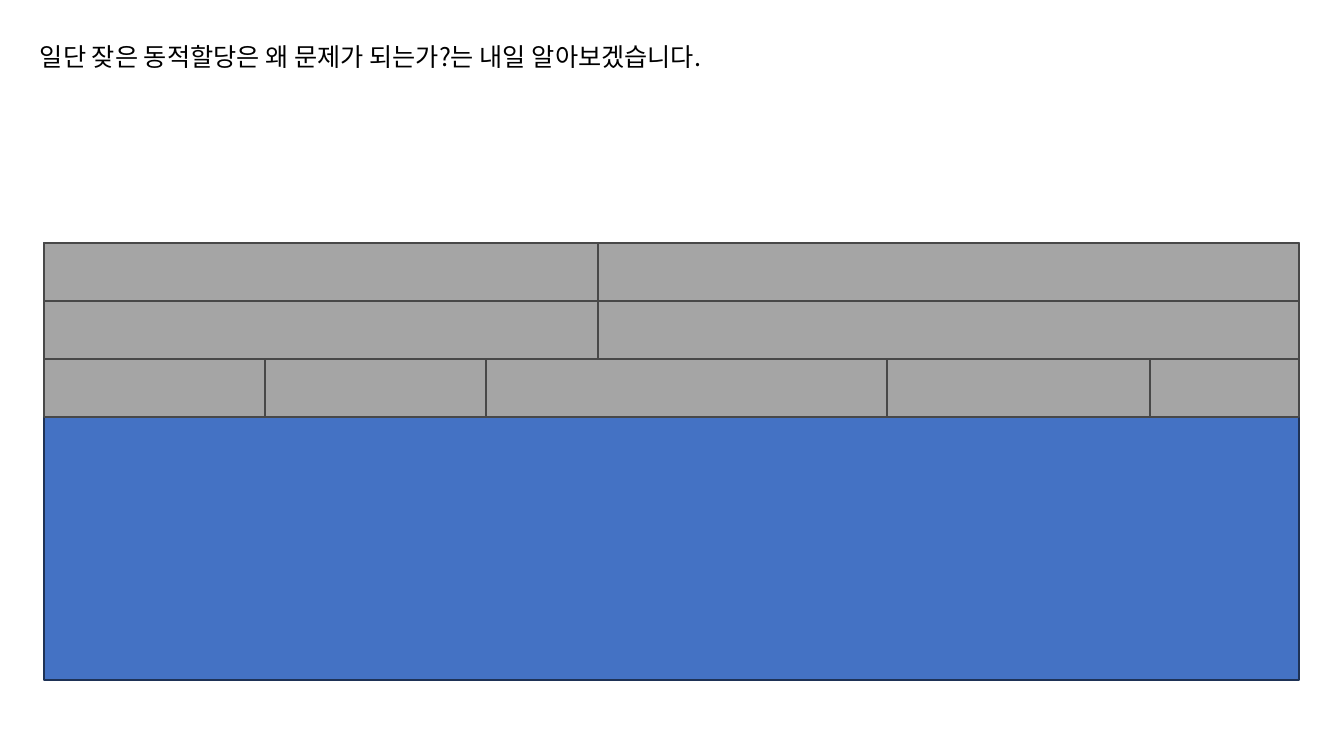
"""Build a slide showing a memory area filled by allocated blocks."""
import dataclasses
import itertools
import typing

import lxml.etree
import pptx
import pptx.dml.color
import pptx.enum.shapes
import pptx.oxml.ns
import pptx.util

SLIDE_WIDTH, SLIDE_HEIGHT = 1344, 756
EMU_PER_PIXEL = 12192000 / SLIDE_WIDTH
FONT = "Noto Sans CJK KR"
QUESTION = "일단 잦은 동적할당은 왜 문제가 되는가?는 내일 알아보겠습니다."
MEMORY_LEFT, MEMORY_TOP, MEMORY_RIGHT, MEMORY_BOTTOM = 44, 243, 1299, 680
BLOCK_HEIGHT = 58
ROW_SPLITS = [[598], [598], [265, 486, 887, 1150]]


@dataclasses.dataclass(frozen=True)
class Block:
    left: int
    top: int
    width: int
    height: int
    fill: str = "A5A5A5"
    line: str = "484848"


def pixels(length: int) -> pptx.util.Emu:
    return pptx.util.Emu(round(length * EMU_PER_PIXEL))


def color(code: str) -> pptx.dml.color.RGBColor:
    return pptx.dml.color.RGBColor.from_string(code)


def set_attributes(target: typing.Any, values: dict[str, typing.Any]) -> None:
    for name, value in values.items():
        setattr(target, name, value)


def draw_block(page: typing.Any, block: Block) -> None:
    box = page.shapes.add_shape(
        pptx.enum.shapes.MSO_SHAPE.RECTANGLE,
        *map(pixels, (block.left, block.top, block.width, block.height)),
    )
    box.shadow.inherit = False
    box.fill.solid()
    box.fill.fore_color.rgb = color(block.fill)
    box.line.color.rgb = color(block.line)
    box.line.width = pptx.util.Pt(1)


def draw_question(page: typing.Any) -> None:
    box = page.shapes.add_textbox(*map(pixels, (30, 36, 1242, 40)))
    box.text_frame.word_wrap = True
    para = box.text_frame.paragraphs[0]
    span = para.add_run()
    span.text = QUESTION
    set_attributes(span.font, {"name": FONT, "size": pptx.util.Pt(18)})
    span.font.color.rgb = color("000000")
    east_asian = lxml.etree.SubElement(span._r.get_or_add_rPr(), pptx.oxml.ns.qn("a:ea"))
    east_asian.set("typeface", FONT)


def allocated_blocks() -> typing.Iterator[Block]:
    for row, splits in enumerate(ROW_SPLITS):
        top = MEMORY_TOP + row * BLOCK_HEIGHT
        for left, right in itertools.pairwise([MEMORY_LEFT, *splits, MEMORY_RIGHT]):
            yield Block(left, top, right - left, BLOCK_HEIGHT)


def main() -> None:
    deck = pptx.Presentation()
    set_attributes(deck, {"slide_width": pixels(SLIDE_WIDTH), "slide_height": pixels(SLIDE_HEIGHT)})
    page = deck.slides.add_slide(deck.slide_layouts[6])
    draw_question(page)
    memory = Block(
        MEMORY_LEFT, MEMORY_TOP, MEMORY_RIGHT - MEMORY_LEFT, MEMORY_BOTTOM - MEMORY_TOP,
        fill="4472C4", line="1E3256",
    )
    for block in [memory, *allocated_blocks()]:
        draw_block(page, block)
    deck.save("out.pptx")


main()
